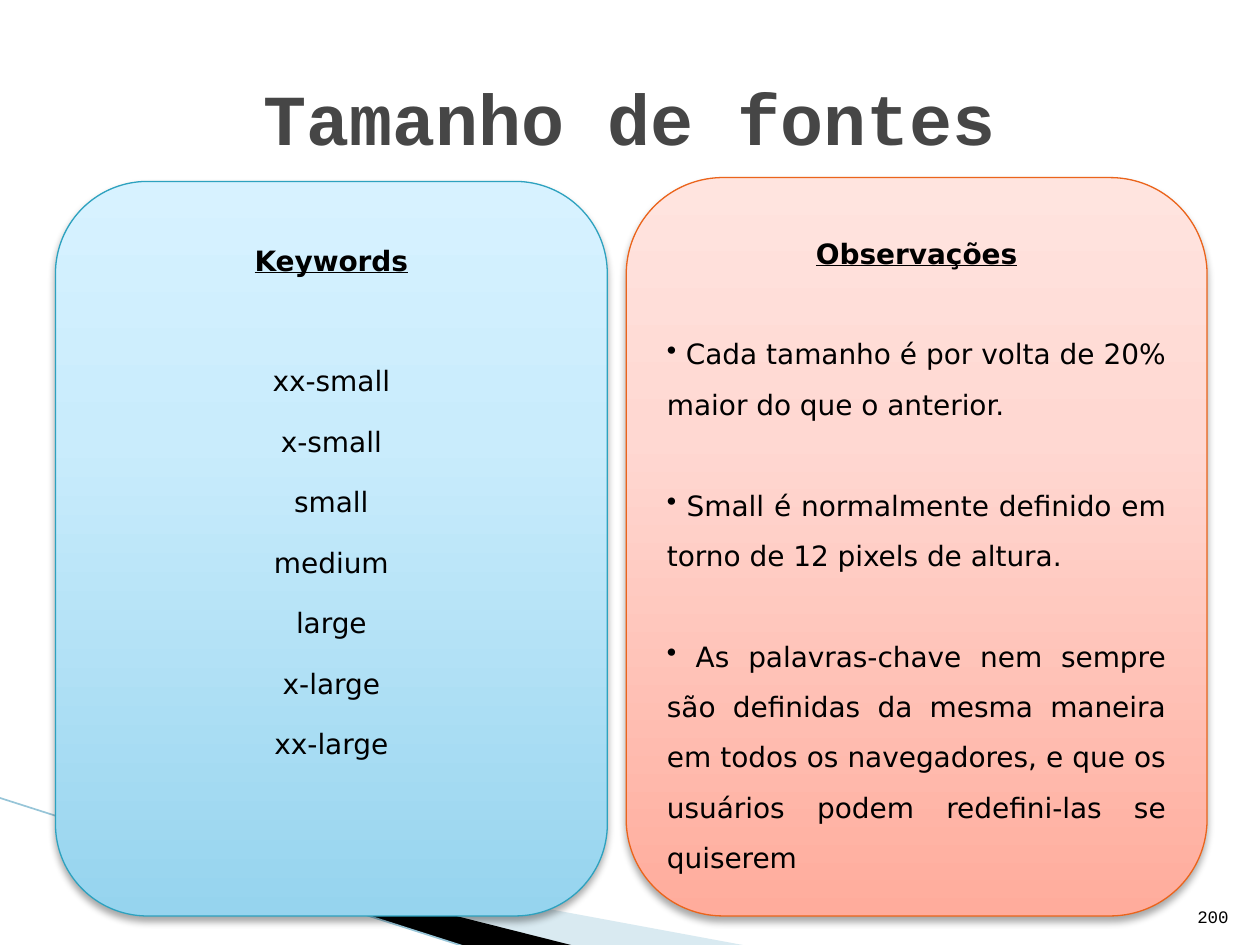
from lxml.etree import SubElement
from pptx import Presentation
from pptx.dml.color import RGBColor
from pptx.enum.shapes import MSO_CONNECTOR as Connector, MSO_SHAPE as Shape
from pptx.enum.text import MSO_ANCHOR as Anchor, PP_ALIGN as Align
from pptx.oxml import parse_xml
from pptx.oxml.ns import nsdecls, qn
from pptx.util import Inches, Pt

# Content
TITLE = "Tamanho de fontes"
PAGE_NUMBER = "200"
KEYWORDS = ["xx-small", "x-small", "small", "medium", "large", "x-large", "xx-large"]
NOTES = [
    " Cada tamanho é por volta de 20% maior do que o anterior.",
    " Small é normalmente definido em torno de 12 pixels de altura.",
    " As palavras-chave nem sempre são definidas da mesma maneira em todos os "
    "navegadores, e que os usuários podem redefini-las se quiserem",
]

THEME = {
    "title": {"name": "Courier New", "size": 41, "color": "464646", "bold": True},
    "heading": {"name": "DejaVu Sans", "size": 16, "color": "000000",
                "bold": True, "underline": True},
    "body": {"name": "DejaVu Sans", "size": 16, "color": "000000"},
    "number": {"name": "Courier New", "size": 10, "color": "000000"},
    "red": {"stops": ("FFAC9C", "FFD8D2", "FFE4DF"), "line": "EB641B"},
    "blue": {"stops": ("96D4EE", "C9ECFC", "D7F2FF"), "line": "2DA2BF"},
    "band": "A0CBDC", "wedge": "000000", "edge": "97C5D8",
}
STOP_POSITIONS = (0, 65, 100)
LINE_HEIGHT = 19.2  # points, one body line at single spacing

# Panels, from back to front; "gap" is the paragraphs that open with a free line
PANELS = [
    {"at": (4.97, 1.41, 4.61, 5.86), "style": "red", "heading": "Observações",
     "items": NOTES, "align": Align.JUSTIFY, "spacing": 1.5, "bullet": "•",
     "gap": range(len(NOTES)), "free_lines_below": 0},
    {"at": (0.44, 1.44, 4.38, 5.83), "style": "blue", "heading": "Keywords",
     "items": KEYWORDS, "align": Align.CENTER, "spacing": 1.8, "bullet": None,
     "gap": (0,), "free_lines_below": 2},
]
BAND = [(0.55, 6.51), (5.95, 7.51), (4.56, 7.51), (0.55, 6.5)]
WEDGE = [(0.53, 6.49), (4.57, 7.51), (3.72, 7.52), (0.54, 6.5)]


def rgb(value):
    return RGBColor.from_string(value)


def write(para, text, style):
    span = para.add_run()
    span.text = text
    for key, value in THEME[style].items():
        if key == "color":
            span.font.color.rgb = rgb(value)
        else:
            setattr(span.font, key, Pt(value) if key == "size" else value)


def add_label(page, at, text, style, align, **frame_format):
    frame = page.shapes.add_textbox(*map(Inches, at)).text_frame
    for key, value in {"word_wrap": True, **frame_format}.items():
        setattr(frame, key, value)
    frame.paragraphs[0].alignment = align
    write(frame.paragraphs[0], text, style)


def add_outline(page, points, color, opacity=None):
    corners = [(Inches(x), Inches(y)) for x, y in points]
    builder = page.shapes.build_freeform(*corners[0])
    builder.add_line_segments(corners[1:], close=True)
    shape = builder.convert_to_shape()
    shape.shadow.inherit = False
    shape.fill.solid()
    shape.fill.fore_color.rgb = rgb(color)
    shape.line.fill.background()
    if opacity is not None:
        srgb = next(shape.element.spPr.iter(qn("a:srgbClr")))
        SubElement(srgb, qn("a:alpha")).set("val", str(opacity * 1000))


def gradient(colors):
    stops = "".join(
        f'<a:gs pos="{position * 1000}"><a:srgbClr val="{color}"/></a:gs>'
        for position, color in zip(STOP_POSITIONS, colors))
    return parse_xml(f'<a:gradFill {nsdecls("a")}><a:gsLst>{stops}</a:gsLst>'
                     '<a:lin ang="16200000" scaled="0"/></a:gradFill>')


def drop_shadow():
    return parse_xml(
        f'<a:outerShdw {nsdecls("a")} blurRad="{Pt(4)}" dist="{Pt(3)}" dir="5400000" '
        'rotWithShape="0"><a:srgbClr val="000000"><a:alpha val="35000"/></a:srgbClr>'
        '</a:outerShdw>')


def add_panel(page, panel):
    style = THEME[panel["style"]]
    box = page.shapes.add_shape(Shape.ROUNDED_RECTANGLE, *map(Inches, panel["at"]))
    box.line.color.rgb = rgb(style["line"])
    box.line.width = Pt(0.75)
    box.shadow.inherit = False
    properties = box.element.spPr
    properties.find(qn("a:prstGeom")).addnext(gradient(style["stops"]))
    properties.find(qn("a:effectLst")).append(drop_shadow())

    line_pitch = panel["spacing"] * LINE_HEIGHT
    frame = box.text_frame
    frame.word_wrap = True
    frame.vertical_anchor = Anchor.MIDDLE
    frame.margin_bottom = Inches(0.05) + Pt(panel["free_lines_below"] * line_pitch)
    heading = frame.paragraphs[0]
    heading.alignment = Align.CENTER
    heading.line_spacing = panel["spacing"]
    write(heading, panel["heading"], "heading")
    for index, item in enumerate(panel["items"]):
        para = frame.add_paragraph()
        para.alignment = panel["align"]
        para.line_spacing = panel["spacing"]
        if index in panel["gap"]:
            para.space_before = Pt(line_pitch)
        if panel["bullet"]:
            bullet = SubElement(para._p.get_or_add_pPr(), qn("a:buChar"))
            bullet.set("char", panel["bullet"])
        write(para, item, "body")


def main():
    deck = Presentation()
    deck.slide_width, deck.slide_height = Inches(10), Inches(7.5)
    page = deck.slides.add_slide(deck.slide_layouts[6])

    # Corner decoration
    add_outline(page, BAND, THEME["band"], opacity=40)
    add_outline(page, WEDGE, THEME["wedge"])
    edge = page.shapes.add_connector(
        Connector.STRAIGHT, *map(Inches, (-0.01, 6.33, 3.71, 7.52)))
    edge.line.color.rgb = rgb(THEME["edge"])
    edge.line.width = Pt(0.95)
    SubElement(edge.element.spPr, qn("a:effectLst"))

    # Title, panels and page number
    add_label(page, (0.5, 0.3, 9, 1.25), TITLE, "title", Align.CENTER,
              vertical_anchor=Anchor.MIDDLE)
    for panel in PANELS:
        add_panel(page, panel)
    add_label(page, (9.25, 7.01, 0.6, 0.4), PAGE_NUMBER, "number", Align.RIGHT,
              vertical_anchor=Anchor.BOTTOM)

    deck.save("out.pptx")


if __name__ == "__main__":
    main()
